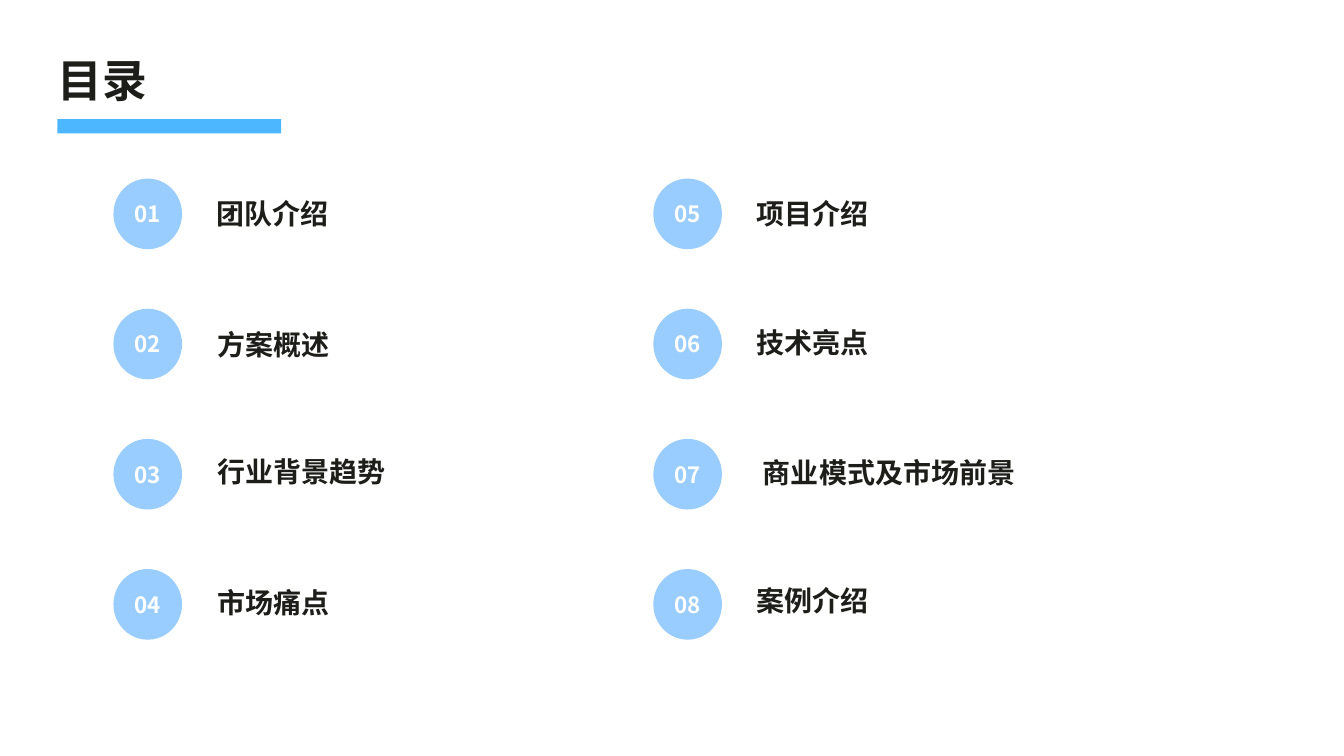
from lxml import etree
from pptx import Presentation
from pptx.dml.color import RGBColor
from pptx.enum import shapes, text
from pptx.oxml import ns
from pptx.util import Cm, Pt

COLORS = {"ink": "1D1D1A", "bar": "0099FF", "circle": "99CCFF", "white": "FFFFFF"}
CJK_FONT = "Noto Sans CJK SC"
CENTER = text.PP_ALIGN.CENTER


def write(shape, words, size, font, color, align, inset=0):
    """Put one bold paragraph, vertically centred, into the shape."""
    tf = shape.text_frame
    tf.word_wrap = True
    tf.vertical_anchor = text.MSO_ANCHOR.MIDDLE
    tf.margin_left = tf.margin_right = Cm(inset)
    tf.margin_top = tf.margin_bottom = 0
    p = tf.paragraphs[0]
    p.text = words
    p.alignment = align
    p.font.size = Pt(size)
    p.font.bold = True
    p.font.color.rgb = RGBColor.from_string(COLORS[color])
    p.font.name = font
    latin = p._p.find(".//" + ns.qn("a:latin"))
    east_asian = etree.Element(ns.qn("a:ea"), typeface=CJK_FONT)
    latin.addnext(east_asian)


def add_filled(kind, left, top, width, height, color):
    sp = s.shapes.add_shape(kind, Cm(left), Cm(top), Cm(width), Cm(height))
    sp.shadow.inherit = False
    sp.fill.solid()
    sp.fill.fore_color.rgb = RGBColor.from_string(COLORS[color])
    sp.line.fill.background()
    return sp


prs = Presentation()
prs.slide_width, prs.slide_height = Cm(33.88), Cm(19.05)
s = prs.slides.add_slide(prs.slide_layouts[6])

# Title and its translucent underline
title = s.shapes.add_textbox(Cm(1.45), Cm(1.32), Cm(2.44), Cm(1.37))
write(title, "目录", 32, CJK_FONT, "ink", text.PP_ALIGN.LEFT)
bar = add_filled(shapes.MSO_SHAPE.RECTANGLE, 1.45, 3, 5.64, 0.36, "bar")
bar_color = bar._element.spPr.find(".//" + ns.qn("a:srgbClr"))
etree.SubElement(bar_color, ns.qn("a:alpha"), val="70000")

# Contents, numbered down each column: label, left, top, width
ROWS = 4
entries = [
    ("团队介绍", 5.13, 4.93, 3.48),
    ("方案概述", 5.16, 8.23, 3.48),
    ("行业背景趋势", 5.11, 11.42, 5),
    ("市场痛点", 5.16, 14.73, 3.48),
    ("项目介绍", 18.75, 4.93, 3.48),
    ("技术亮点", 18.75, 8.18, 3.48),
    ("商业模式及市场前景", 18.16, 11.46, 8.51),
    ("案例介绍", 18.75, 14.68, 3.48),
]
for i, (label, left, top, width) in enumerate(entries):
    col, row = divmod(i, ROWS)
    circle = add_filled(shapes.MSO_SHAPE.OVAL, 2.86 + col * 13.61,
                        4.5 + row * 3.28, 1.73, 1.78, "circle")
    write(circle, f"{i + 1:02}", 16, CJK_FONT, "white", CENTER)
    box = s.shapes.add_textbox(Cm(left), Cm(top), Cm(width), Cm(0.89))
    write(box, label, 20, "Lato", "ink", CENTER, inset=0.25)

prs.save("out.pptx")
